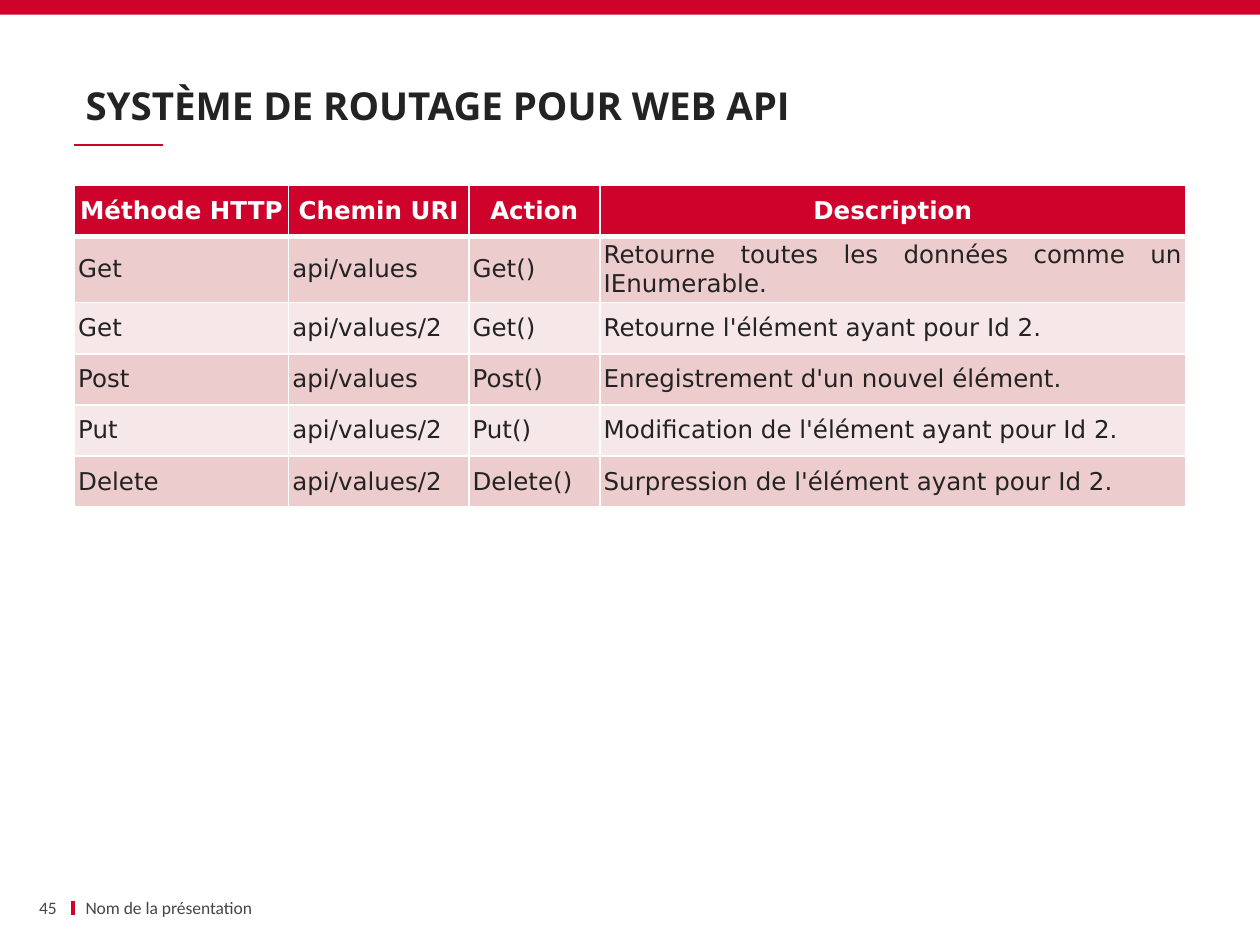
from dataclasses import dataclass

from lxml import etree
from pptx import Presentation, util as u
from pptx.dml.color import RGBColor
from pptx.enum import shapes, text
from pptx.oxml.ns import qn

RED, INK, GREY, WHITE = "CF022B", "232323", "464646", "FFFFFF"
BANDS = ("EDCCCD", "F6E7E8")
ALIGN = text.PP_ALIGN


@dataclass
class Label:
    wording: str
    box: tuple[float, float, float, float]
    size: float
    font: str
    color: str
    bold: bool = False
    align: ALIGN = ALIGN.LEFT
    anchor: text.MSO_ANCHOR = text.MSO_ANCHOR.MIDDLE
    side_inset: float = 0
    line_spacing: float = 1.0


@dataclass
class Rule:
    start: tuple[float, float]
    end: tuple[float, float]
    width: float


def rgb(code: str) -> RGBColor:
    return RGBColor.from_string(code)


def style(paragraph, size: float, font: str, color: str, bold: bool, align: ALIGN) -> None:
    paragraph.alignment = align
    paragraph.font.size = u.Pt(size)
    paragraph.font.name = font
    paragraph.font.bold = bold
    paragraph.font.color.rgb = rgb(color)


def draw_label(slide, label: Label) -> None:
    frame = slide.shapes.add_textbox(*map(u.Pt, label.box)).text_frame
    frame.word_wrap = True
    frame.vertical_anchor = label.anchor
    frame.margin_left = frame.margin_right = u.Pt(label.side_inset)
    frame.margin_top = frame.margin_bottom = u.Pt(3.6)
    paragraph = frame.paragraphs[0]
    paragraph.text = label.wording
    paragraph.line_spacing = label.line_spacing
    style(paragraph, label.size, label.font, label.color, label.bold, label.align)


def draw_rule(slide, rule: Rule) -> None:
    line = slide.shapes.add_connector(
        shapes.MSO_CONNECTOR.STRAIGHT, *map(u.Pt, rule.start + rule.end))
    line.line.color.rgb = rgb(RED)
    line.line.width = u.Pt(rule.width)
    etree.SubElement(line._element.spPr, qn("a:effectLst"))


def draw_borders(cell, bottom_width: float) -> None:
    properties = cell._tc.get_or_add_tcPr()
    widths = {"a:lnL": 1, "a:lnR": 1, "a:lnT": 1, "a:lnB": bottom_width}
    for position, (side, width) in enumerate(widths.items()):
        border = etree.Element(qn(side), w=str(u.Pt(width)))
        fill = etree.SubElement(border, qn("a:solidFill"))
        etree.SubElement(fill, qn("a:srgbClr"), val=WHITE)
        properties.insert(position, border)


def draw_cell(cell, wording: str, row: int) -> None:
    header = row == 0
    cell.fill.solid()
    cell.fill.fore_color.rgb = rgb(RED if header else BANDS[(row - 1) % 2])
    cell.vertical_anchor = text.MSO_ANCHOR.MIDDLE
    cell.margin_left = cell.margin_right = u.Pt(2.2)
    cell.margin_top = cell.margin_bottom = u.Pt(2.2)
    paragraph = cell.text_frame.paragraphs[0]
    paragraph.text = wording
    style(paragraph, 14, "DejaVu Sans", WHITE if header else INK, header,
          ALIGN.CENTER if header else ALIGN.JUSTIFY)
    draw_borders(cell, 3 if header or row == 0 else 1)


def draw_table(slide, rows: list[tuple[str, ...]], widths: tuple[float, ...],
               left: float, top: float, row_height: float) -> None:
    table = slide.shapes.add_table(
        len(rows), len(widths), u.Pt(left), u.Pt(top),
        u.Pt(sum(widths)), u.Pt(row_height * len(rows))).table
    table.horz_banding = False
    for column, width in zip(table.columns, widths):
        column.width = u.Pt(width)
    for row, wordings in enumerate(rows):
        table.rows[row].height = u.Pt(row_height)
        for column, wording in enumerate(wordings):
            draw_cell(table.cell(row, column), wording, row)


LABELS = [
    Label("\u00a0SYSTÈME DE ROUTAGE POUR WEB API", (43.2, 15.1, 633.6, 62), 22,
          "Open Sans", INK, bold=True, anchor=text.MSO_ANCHOR.BOTTOM, line_spacing=0.9),
    Label("Nom de la présentation", (41.8, 512, 357.8, 13), 10, "Calibri", GREY,
          side_inset=7.2),
    Label("45", (9.4, 512, 23, 13), 10, "Calibri", GREY, align=ALIGN.RIGHT),
]
RULES = [
    Rule((41.8, 514.8), (41.8, 522.7), 2.25),
    Rule((42.5, 82.8), (92.9, 82.8), 1),
]
ROUTES = [
    ("Méthode HTTP", "Chemin URI", "Action", "Description"),
    ("Get", "api/values", "Get()", "Retourne toutes les données comme un IEnumerable."),
    ("Get", "api/values/2", "Get()", "Retourne l'élément ayant pour Id 2."),
    ("Post", "api/values", "Post()", "Enregistrement d'un nouvel élément."),
    ("Put", "api/values/2", "Put()", "Modification de l'élément ayant pour Id 2."),
    ("Delete", "api/values/2", "Delete()", "Surpression de l'élément ayant pour Id 2."),
]

deck = Presentation()
deck.slide_width, deck.slide_height = u.Pt(720), u.Pt(540)
slide = deck.slides.add_slide(deck.slide_layouts[6])

# Top band
band = slide.shapes.add_shape(
    shapes.MSO_SHAPE.RECTANGLE, u.Pt(0), u.Pt(0), deck.slide_width, u.Pt(8.4))
band.shadow.inherit = False
band.fill.solid()
band.fill.fore_color.rgb = rgb(RED)
band.line.fill.background()

# Title underline and footer mark
for rule in RULES:
    draw_rule(slide, rule)

# Title and footer
for label in LABELS:
    draw_label(slide, label)

# Routing table
draw_table(slide, ROUTES, (122.4, 103, 74.9, 334.8), 42.5, 105.8, 29.2)

deck.save("out.pptx")
